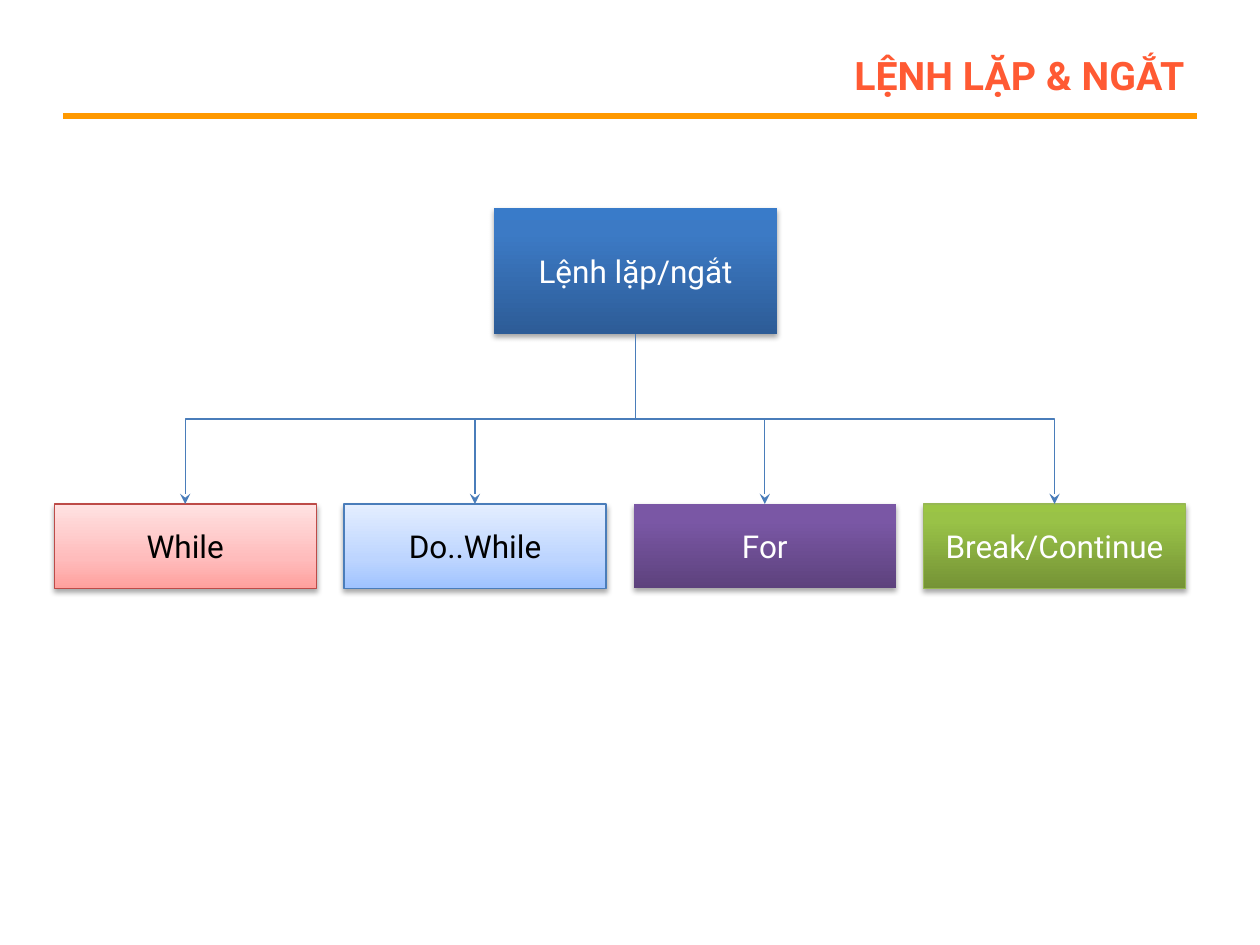
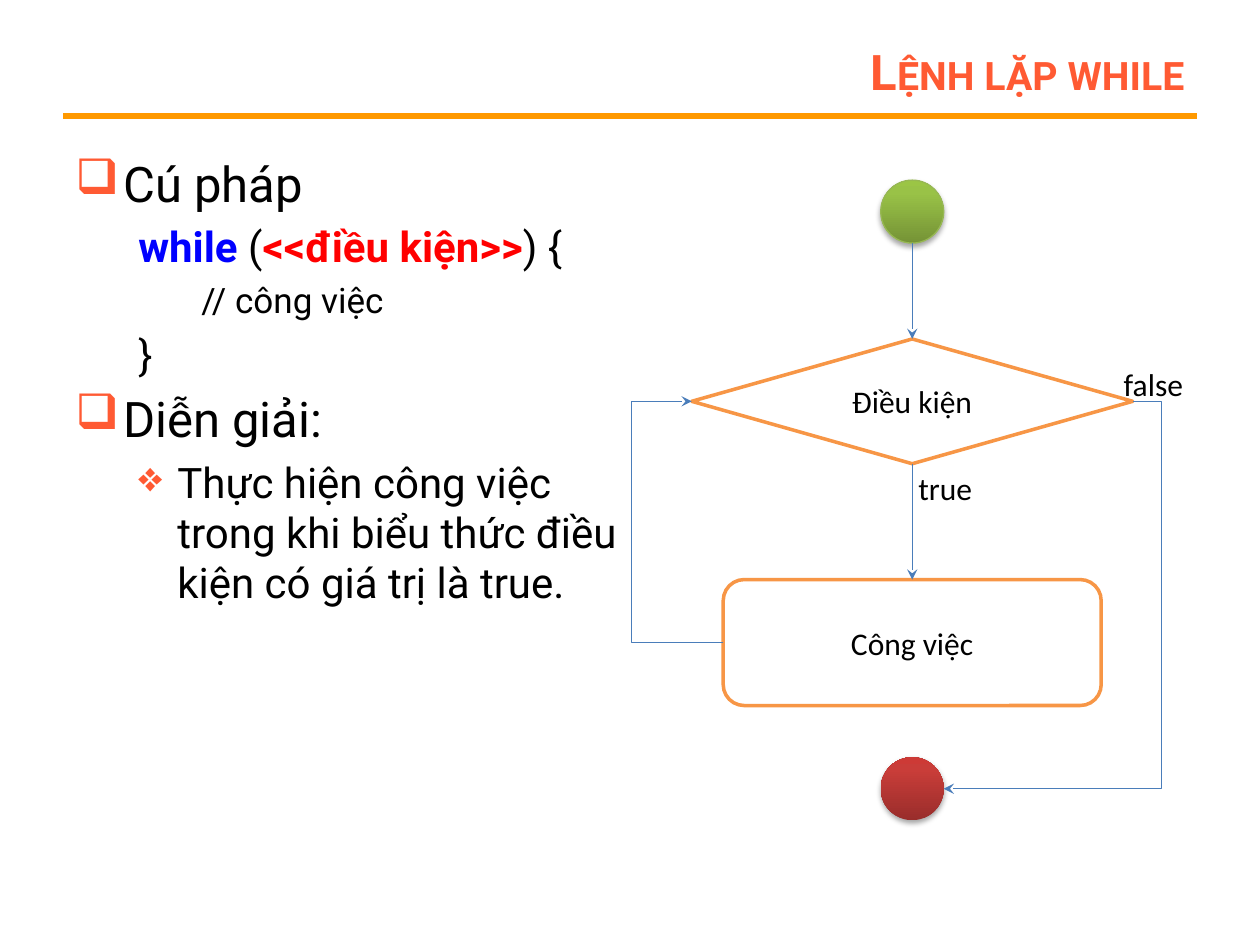
import copy

import pptx
import pptx.dml.color
import pptx.enum.shapes
import pptx.enum.text
import pptx.oxml.ns
import pptx.util
from lxml import etree

Inches, Pt = pptx.util.Inches, pptx.util.Pt
RGBColor = pptx.dml.color.RGBColor
SHAPE = pptx.enum.shapes.MSO_SHAPE
CONNECTOR = pptx.enum.shapes.MSO_CONNECTOR
ALIGN = pptx.enum.text.PP_ALIGN
ANCHOR = pptx.enum.text.MSO_ANCHOR
qn = pptx.oxml.ns.qn

# Shared look
HEAD_FONT, FLOW_FONT = "Roboto", "Calibri"
BLACK = RGBColor(0, 0, 0)
WHITE = RGBColor(255, 255, 255)
ACCENT = RGBColor(0xFF, 0x5A, 0x33)
RULE = RGBColor(0xFF, 0x99, 0x00)
KEYWORD = RGBColor(0, 0, 255)
CONDITION = RGBColor(255, 0, 0)
WIRE = RGBColor(0x4A, 0x7D, 0xBA)
OUTLINE = RGBColor(0xF7, 0x96, 0x46)


def theme(stops, line, text):
    """Gradient stops from bottom to top, outline and text colour."""
    stops = [(at, RGBColor.from_string(rgb)) for at, rgb in stops]
    return stops, line and RGBColor.from_string(line), text


BLUE = theme([(0, "2D5C97"), (0.8, "3C7AC5"), (1, "397BC9")], None, WHITE)
PINK = theme([(0, "FFA09D"), (0.35, "FFBCBC"), (1, "FFE2E2")], "BD4B48", BLACK)
PALE = theme([(0, "9FC3FF"), (0.35, "BDD5FF"), (1, "E4EEFF")], "4A7DBA", BLACK)
PURPLE = theme([(0, "5D427D"), (0.8, "7A57A5"), (1, "7A56A7")], None, WHITE)
GREEN = theme([(0, "759336"), (0.8, "99C247"), (1, "9BC545")], "97B853", WHITE)
RED = theme([(0, "992D2B"), (0.8, "C93D39"), (1, "CD3A36")], None, WHITE)

# Slide content
TREE_TITLE = "lệnh lặp & ngắt"
TREE_ROOT = "Lệnh lặp/ngắt"
TREE_LEAVES = [("While", PINK), ("Do..While", PALE), ("For", PURPLE), ("Break/Continue", GREEN)]

WHILE_TITLE = "Lệnh lặp while"
# level, bullet, left indent, first-line indent, size, space before, runs (text, colour, bold)
WHILE_BODY = [
    (0, "❑", 0.38, -0.38, 28, 0, [("Cú pháp", BLACK, False)]),
    (1, None, 0.5, 0, 24, 4.8, [("while ", KEYWORD, True), ("(", BLACK, False),
                                ("<<điều kiện>>", CONDITION, True), (") {", BLACK, False)]),
    (2, None, 1, 0, 20, 4, [("// công việc", BLACK, False)]),
    (1, None, 0.5, 0, 24, 4.8, [("}", BLACK, False)]),
    (0, "❑", 0.38, -0.38, 28, 5.6, [("Diễn giải:", BLACK, False)]),
    (1, "❖", 0.81, -0.31, 24, 4.8,
     [("Thực hiện công việc trong khi biểu thức điều kiện có giá trị là true.", BLACK, False)]),
]
BRANCH_LABELS = [("true", 7.19, 3.67, 0.63), ("false", 8.82, 2.85, 0.68)]


def sub(parent, tag, **attrs):
    return etree.SubElement(parent, qn(tag), {k: str(v) for k, v in attrs.items()})


def style_run(r, font, size, color, bold=False):
    r.font.name, r.font.size, r.font.bold = font, Pt(size), bold
    r.font.color.rgb = color


def write(sp, text, font, size, color, align=ALIGN.CENTER, bold=False):
    tf = sp.text_frame
    tf.text = text
    tf.vertical_anchor = ANCHOR.MIDDLE
    p = tf.paragraphs[0]
    p.alignment = align
    style_run(p.runs[0], font, size, color, bold)
    return p.runs[0]


def textbox(s, x, y, w, h, wrap=True):
    sp = s.shapes.add_textbox(Inches(x), Inches(y), Inches(w), Inches(h))
    sp.text_frame.word_wrap = wrap
    return sp


def shape(s, kind, x, y, w, h):
    sp = s.shapes.add_shape(kind, Inches(x), Inches(y), Inches(w), Inches(h))
    sp.shadow.inherit = False
    return sp


def glossy(s, kind, x, y, w, h, look, text=None):
    """Shape with a vertical gradient and a soft shadow."""
    stops, line, text_color = look
    sp = shape(s, kind, x, y, w, h)
    sp.fill.gradient()
    sp.fill.gradient_angle = 90
    gs_list = sp._element.spPr.find(".//" + qn("a:gsLst"))
    gs_list.insert(1, copy.deepcopy(gs_list[0]))
    for stop, (position, color) in zip(sp.fill.gradient_stops, stops):
        stop.position = position
        stop.color.rgb = color
    if line:
        sp.line.color.rgb = line
        sp.line.width = Pt(0.75)
    else:
        sp.line.fill.background()
    shadow = sub(sp._element.spPr.find(qn("a:effectLst")), "a:outerShdw", blurRad=Pt(3.1),
                 dist=Pt(1.8), dir=5400000, rotWithShape=0)
    sub(sub(shadow, "a:srgbClr", val="000000"), "a:alpha", val=35000)
    if text:
        write(sp, text, HEAD_FONT, 18, text_color)
    return sp


def outlined(s, kind, x, y, w, h, text):
    sp = shape(s, kind, x, y, w, h)
    sp.fill.solid()
    sp.fill.fore_color.rgb = WHITE
    sp.line.color.rgb = OUTLINE
    sp.line.width = Pt(2)
    write(sp, text, FLOW_FONT, 18, BLACK)
    return sp


def connect(s, kind, start, end, color=WIRE, width=0.75, arrow=True):
    c = s.shapes.add_connector(kind, *[Inches(v) for v in (*start, *end)])
    c.line.color.rgb = color
    c.line.width = Pt(width)
    spPr = c._element.spPr
    if arrow:
        sub(spPr.find(qn("a:ln")), "a:tailEnd", type="stealth")
    sub(spPr, "a:effectLst")
    return c


def turn(c, degrees):
    c._element.spPr.find(qn("a:xfrm")).set("rot", str(degrees * 60000))


def drop(s, start, end):
    """Elbow that leaves downwards and enters its target from above."""
    (x1, y1), (x2, y2) = start, end
    mid_x, mid_y = (x1 + x2) / 2, (y1 + y2) / 2
    half_w, half_h = (y2 - y1) / 2, abs(x2 - x1) / 2
    side = 1 if x2 < x1 else -1
    c = connect(s, CONNECTOR.ELBOW, (mid_x - side * half_w, mid_y - half_h),
                (mid_x + side * half_w, mid_y + half_h))
    turn(c, 90 if side == 1 else 270)


def detour(s, start, end, via_x):
    """Elbow that runs sideways to via_x, then back to its target."""
    upward = end[1] < start[1]
    c = connect(s, CONNECTOR.ELBOW, *((end, start) if upward else (start, end)))
    if upward:
        turn(c, 180)
    guides = c._element.spPr.find(qn("a:prstGeom")).find(qn("a:avLst"))
    ratio = (via_x - start[0]) / (end[0] - start[0])
    sub(guides, "a:gd", name="adj1", fmla=f"val {round(ratio * 100000)}")


def new_slide(prs, title):
    s = prs.slides.add_slide(prs.slide_layouts[6])
    connect(s, CONNECTOR.STRAIGHT, (0.5, 0.92), (9.5, 0.92), RULE, 3, arrow=False)
    r = write(textbox(s, 2.25, 0.3, 7.25, 0.53), title, HEAD_FONT, 28, ACCENT, ALIGN.RIGHT, True)
    r._r.get_or_add_rPr().set("cap", "small")
    return s


def tree_slide(prs):
    s = new_slide(prs, TREE_TITLE)
    root_x, root_y, root_w, root_h = 3.92, 1.65, 2.25, 1
    leaf_x, leaf_y, leaf_w, leaf_h, leaf_step = 0.43, 4, 2.08, 0.67, 2.3
    glossy(s, SHAPE.RECTANGLE, root_x, root_y, root_w, root_h, BLUE, TREE_ROOT)
    for i, (text, look) in enumerate(TREE_LEAVES):
        x = leaf_x + i * leaf_step
        glossy(s, SHAPE.RECTANGLE, x, leaf_y, leaf_w, leaf_h, look, text)
        drop(s, (root_x + root_w / 2, root_y + root_h), (x + leaf_w / 2, leaf_y))


def syntax_text(s):
    tf = textbox(s, 0.5, 1.17, 4.67, 5.75).text_frame
    for i, (level, bullet, left, first, size, before, runs) in enumerate(WHILE_BODY):
        p = tf.add_paragraph() if i else tf.paragraphs[0]
        p.level = level
        p.space_before = Pt(before)
        pPr = p._p.get_or_add_pPr()
        pPr.set("marL", str(Inches(left)))
        pPr.set("indent", str(Inches(first)))
        if bullet:
            sub(sub(pPr, "a:buClr"), "a:srgbClr", val=ACCENT)
            sub(pPr, "a:buChar", char=bullet)
        for text, color, bold in runs:
            r = p.add_run()
            r.text = text
            style_run(r, HEAD_FONT, size, color, bold)


def while_slide(prs):
    s = new_slide(prs, WHILE_TITLE)
    syntax_text(s)

    # Flowchart nodes share one centre line
    mid, dot = 7.24, 0.5
    start_y, end_y = 1.43, 6.01
    test_w, test_y, test_h = 3.5, 2.69, 0.99
    job_w, job_y, job_h = 3, 4.6, 1
    glossy(s, SHAPE.OVAL, mid - dot / 2, start_y, dot, dot, GREEN)
    glossy(s, SHAPE.OVAL, mid - dot / 2, end_y, dot, dot, RED)
    test = outlined(s, SHAPE.FLOWCHART_DECISION, mid - test_w / 2, test_y, test_w, test_h, "Điều kiện")
    job = outlined(s, SHAPE.ROUNDED_RECTANGLE, mid - job_w / 2, job_y, job_w, job_h, "Công việc")

    # Arrows
    c = connect(s, CONNECTOR.STRAIGHT, (mid, start_y + dot), (mid, test_y))
    c.end_connect(test, 0)
    c = connect(s, CONNECTOR.STRAIGHT, (mid, test_y + test_h), (mid, job_y))
    c.begin_connect(test, 2)
    c.end_connect(job, 0)
    test_mid = test_y + test_h / 2
    detour(s, (mid - job_w / 2, job_y + job_h / 2), (mid - test_w / 2, test_mid), 5.01)
    detour(s, (mid + test_w / 2, test_mid), (mid + dot / 2, end_y + dot / 2), 9.22)

    # Branch labels
    for text, x, y, w in BRANCH_LABELS:
        write(textbox(s, x, y, w, 0.4, wrap=False), text, FLOW_FONT, 18, BLACK, ALIGN.LEFT)


def main():
    prs = pptx.Presentation()
    prs.slide_width, prs.slide_height = Inches(10), Inches(7.5)
    tree_slide(prs)
    while_slide(prs)
    prs.save("out.pptx")


if __name__ == "__main__":
    main()
